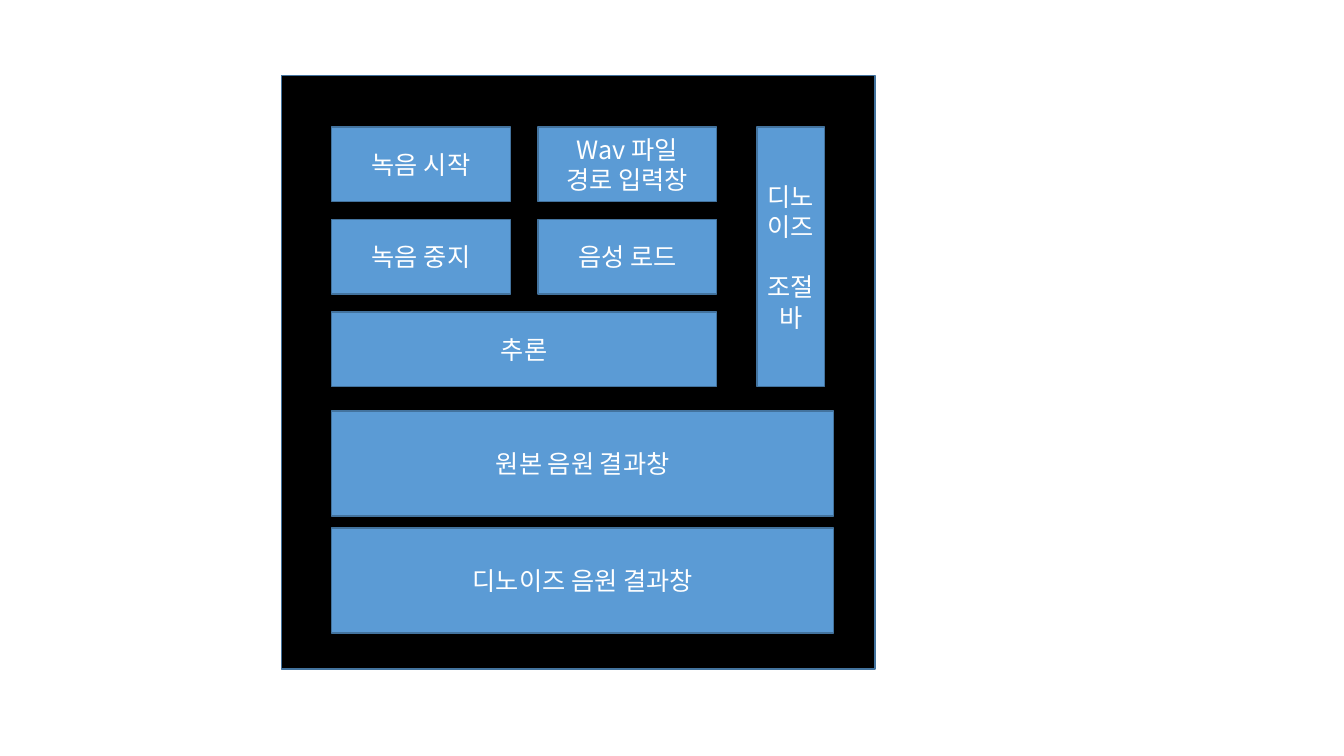
from dataclasses import dataclass

from pptx import Presentation
from pptx.dml.color import RGBColor
from pptx.enum import shapes, text
from pptx.util import Cm, Pt

FONT = "Noto Sans CJK KR"
BLACK, BLUE, BORDER, WHITE = "000000", "5B9BD5", "43739E", "FFFFFF"

COLUMN_LEFT, COLUMN_STEP = 8.36, 5.2
BUTTON_TOP, BUTTON_STEP = 3.2, 2.33
BUTTON_WIDTH, BUTTON_HEIGHT = 4.5, 1.88
RESULT_TOP, RESULT_STEP = 10.36, 2.95
RESULT_WIDTH, RESULT_HEIGHT = 12.65, 2.64


@dataclass(frozen=True)
class Box:
    """A rectangle in centimetres; its label holds paragraphs made of lines."""
    left: float
    top: float
    width: float
    height: float
    label: tuple[tuple[str, ...], ...] = ()
    fill: str = BLUE


def colour(value: str) -> RGBColor:
    return RGBColor.from_string(value)


def button(column: int, row: int, *lines: str, columns: int = 1) -> Box:
    """Place a button on the control grid, spanning the given columns."""
    return Box(COLUMN_LEFT + column * COLUMN_STEP,
               BUTTON_TOP + row * BUTTON_STEP,
               BUTTON_WIDTH + (columns - 1) * COLUMN_STEP,
               BUTTON_HEIGHT, (lines,))


def result_panel(row: int, title: str) -> Box:
    return Box(COLUMN_LEFT, RESULT_TOP + row * RESULT_STEP,
               RESULT_WIDTH, RESULT_HEIGHT, ((title,),))


def write_label(frame, label: tuple[tuple[str, ...], ...]) -> None:
    frame.word_wrap = True
    frame.vertical_anchor = text.MSO_ANCHOR.MIDDLE
    for number, lines in enumerate(label):
        paragraph = frame.add_paragraph() if number else frame.paragraphs[0]
        paragraph.alignment = text.PP_ALIGN.CENTER
        if number:
            paragraph.space_before = Pt(21.5)
        for position, line in enumerate(lines):
            if position:
                paragraph.add_line_break()
            run = paragraph.add_run()
            run.text = line
            run.font.name = FONT
            run.font.size = Pt(18)
            run.font.color.rgb = colour(WHITE)


def draw_box(slide, box: Box) -> None:
    shape = slide.shapes.add_shape(
        shapes.MSO_SHAPE.RECTANGLE,
        Cm(box.left), Cm(box.top), Cm(box.width), Cm(box.height))
    shape.shadow.inherit = False
    shape.fill.solid()
    shape.fill.fore_color.rgb = colour(box.fill)
    shape.line.color.rgb = colour(BORDER)
    shape.line.width = Pt(1)
    if box.label:
        write_label(shape.text_frame, box.label)


BOXES = (
    Box(7.09, 1.9, 14.96, 14.96, fill=BLACK),
    button(0, 0, "녹음 시작"),
    button(0, 1, "녹음 중지"),
    button(0, 2, "추론", columns=2),
    button(1, 0, "Wav 파일", "경로 입력창"),
    button(1, 1, "음성 로드"),
    Box(19.08, BUTTON_TOP, 1.7, 2 * BUTTON_STEP + BUTTON_HEIGHT,
        (("디노이즈",), ("조절바",))),
    result_panel(0, "원본 음원 결과창"),
    result_panel(1, "디노이즈 음원 결과창"),
)


def main() -> None:
    presentation = Presentation()
    presentation.slide_width = Cm(33.87)
    presentation.slide_height = Cm(19.05)
    slide = presentation.slides.add_slide(presentation.slide_layouts[6])
    for box in BOXES:
        draw_box(slide, box)
    presentation.save("out.pptx")


if __name__ == "__main__":
    main()
